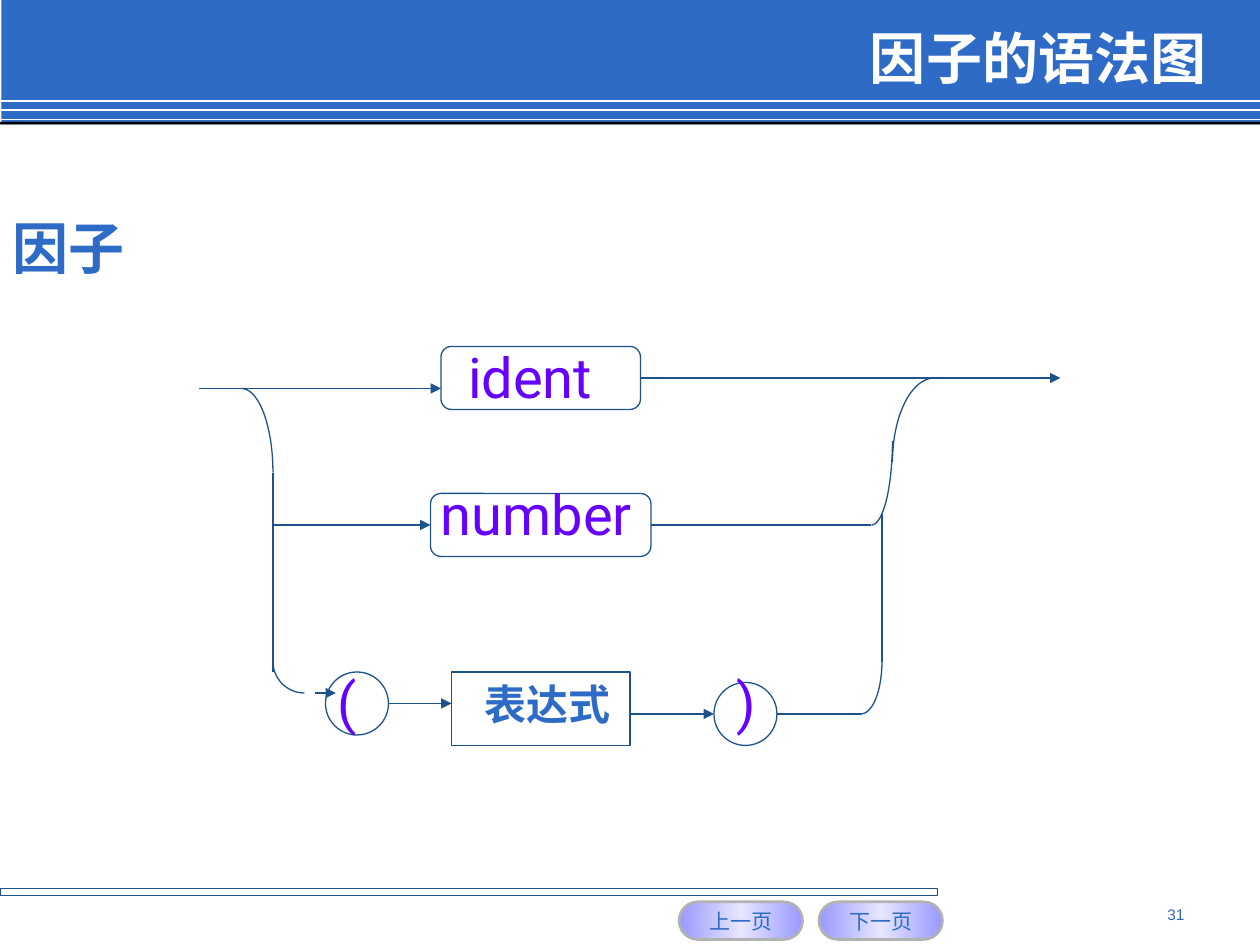
import copy
import math

import pptx
import pptx.dml.color
import pptx.enum.shapes
import pptx.enum.text
import pptx.oxml
import pptx.oxml.ns
import pptx.util

Cm = pptx.util.Cm
PRESET = pptx.enum.shapes.MSO_SHAPE
ALIGN = pptx.enum.text.PP_ALIGN
ANCHOR = pptx.enum.text.MSO_ANCHOR
CJK = "Noto Sans CJK SC"
GRID = 2.54 / 12  # the diagram sits on a grid of twelfths of an inch


def colour(hex_string):
    return pptx.dml.color.RGBColor.from_string(hex_string)


def grid(*units):
    return [unit * GRID for unit in units]


def add_element(parent, tag, **attributes):
    child = pptx.oxml.parse_xml(f"<{tag} {pptx.oxml.ns.nsdecls('a')}/>")
    for name, value in attributes.items():
        child.set(name, value)
    parent.append(child)


def write(frame, text, *, size, color, font="Arial", bold=False,
          align=ALIGN.LEFT, anchor=ANCHOR.TOP, wrap=True):
    frame.auto_size = pptx.enum.text.MSO_AUTO_SIZE.NONE
    frame.word_wrap = wrap
    frame.vertical_anchor = anchor
    frame.margin_left = frame.margin_right = Cm(0.25)
    frame.margin_top = frame.margin_bottom = Cm(0.13)
    paragraph = frame.paragraphs[0]
    paragraph.alignment = align
    paragraph.space_before = pptx.util.Pt(0)
    run = paragraph.add_run()
    run.text = text
    run.font.size = pptx.util.Pt(size)
    run.font.bold = bold
    run.font.name = font
    run.font.color.rgb = colour(color)
    add_element(run.font._element, "a:ea", typeface=CJK)
    return paragraph


class SyntaxSlide:
    """Style of the deck and the slide being drawn; lengths are in cm."""
    BLUE = "2D6BC7"
    STROKE = "1D528D"
    TERMINAL = "6600FF"

    def __init__(self, deck):
        self.slide = deck.slides.add_slide(deck.slide_layouts[1])
        self.shapes = self.slide.shapes

    def outline(self, line, color, width):
        line.color.rgb = colour(color)
        line.width = pptx.util.Pt(width)

    def box(self, preset, left, top, width, height, fill=None, line=STROKE, weight=0.75):
        shape = self.shapes.add_shape(preset, Cm(left), Cm(top), Cm(width), Cm(height))
        shape.shadow.inherit = False
        if fill:
            shape.fill.solid()
            shape.fill.fore_color.rgb = colour(fill)
        else:
            shape.fill.background()
        if line:
            self.outline(shape.line, line, weight)
        else:
            shape.line.fill.background()
        return shape

    def line(self, x1, y1, x2, y2, color=STROKE, weight=0.75, arrow=False):
        connector = self.shapes.add_connector(
            pptx.enum.shapes.MSO_CONNECTOR.STRAIGHT, Cm(x1), Cm(y1), Cm(x2), Cm(y2))
        self.outline(connector.line, color, weight)
        if arrow:
            add_element(connector.line._get_or_add_ln(), "a:tailEnd", type="triangle")
        add_element(connector._element.spPr, "a:effectLst")

    def bend(self, x1, y1, x2, y2, steps=24):
        """Quarter ellipse that leaves point 1 level and meets point 2 upright."""
        angles = [math.pi / 2 * step / steps for step in range(steps + 1)]
        points = [(Cm(x1 + (x2 - x1) * math.sin(a)), Cm(y2 + (y1 - y2) * math.cos(a)))
                  for a in angles]
        builder = self.shapes.build_freeform(*points[0])
        builder.add_line_segments(points[1:], close=False)
        curve = builder.convert_to_shape()
        curve.shadow.inherit = False
        curve.fill.background()
        self.outline(curve.line, self.STROKE, 0.75)

    def label(self, text, left, top, width, height, **text_format):
        area = self.shapes.add_textbox(Cm(left), Cm(top), Cm(width), Cm(height))
        write(area.text_frame, text, **text_format)

    def button(self, text, left):
        pill = self.box(PRESET.ROUNDED_RECTANGLE, left, 18.18, 2.49, 0.76,
                        line="B2B2B2", weight=1.5)
        pill.adjustments[0] = 0.5
        pill.fill.gradient()
        pill.fill.gradient_angle = 0
        stops = pill.fill.gradient_stops
        for stop, place, shade in zip(stops, (0, 0.5), ("9999FF", "E6E6FF")):
            stop.position = place
            stop.color.rgb = colour(shade)
        stop_list = pill._element.spPr.find(".//" + pptx.oxml.ns.qn("a:gsLst"))
        last = copy.deepcopy(stop_list[0])
        last.set("pos", "100000")
        stop_list.append(last)
        write(pill.text_frame, text, size=12, color=self.BLUE,
              align=ALIGN.CENTER, anchor=ANCHOR.MIDDLE, wrap=False)

    def placeholder(self, index, text, left, top, width, height, **text_format):
        holder = self.slide.placeholders[index]
        holder.left, holder.top = Cm(left), Cm(top)
        holder.width, holder.height = Cm(width), Cm(height)
        paragraph = write(holder.text_frame, text, size=32, font=CJK, bold=True, **text_format)
        properties = paragraph._p.get_or_add_pPr()
        properties.set("marL", "0")
        properties.set("indent", "0")
        add_element(properties, "a:buNone")
        self.shapes._spTree.append(holder._element)  # in front of the header band


def main():
    deck = pptx.Presentation()
    deck.slide_width, deck.slide_height = Cm(25.4), Cm(19.05)
    page = SyntaxSlide(deck)

    # Header band and footer
    page.box(PRESET.RECTANGLE, 0.03, 0, 25.37, 2.51, fill=page.BLUE, line=None)
    for y in (2.03, 2.22, 2.41):
        page.line(0, y, 25.4, y, color="FFFFFF", weight=1)
    page.box(PRESET.RECTANGLE, 0, 2.46, 25.4, 0.05, fill="000000", line=None)
    page.box(PRESET.RECTANGLE, 0, 17.91, 18.9, 0.15)
    page.button("上一页", 13.69)
    page.button("下一页", 16.51)
    page.label("31", 18.21, 18.11, 5.92, 0.69, size=8.8, color=page.BLUE, align=ALIGN.RIGHT)

    # Title and name of the rule
    page.placeholder(0, "因子的语法图", 6.99, 0.61, 17.58, 1.09, color="FFFFFF",
                     align=ALIGN.RIGHT, anchor=ANCHOR.MIDDLE)
    page.placeholder(1, "因子", 0, 4.17, 25.4, 13.64, color=page.BLUE)

    # Symbols of the syntax diagram
    for preset, *place in (
            (PRESET.ROUNDED_RECTANGLE, 42, 33, 19, 6),
            (PRESET.ROUNDED_RECTANGLE, 41, 47, 21, 6),
            (PRESET.OVAL, 31, 64, 6, 6),
            (PRESET.RECTANGLE, 43, 64, 17, 7),
            (PRESET.OVAL, 68, 65, 6, 6)):
        page.box(preset, *grid(*place))

    for terminal, *place in (
            ("ident", 43.4, 32, 15.2, 7.7),
            ("number", 40.8, 45.1, 22.4, 7.7),
            ("(", 31, 63, 5, 7.7),
            (")", 69, 63, 6, 7.7)):
        page.label(terminal, *grid(*place), size=32, color=page.TERMINAL,
                   font="Roboto", wrap=False)
    page.label("表达式", *grid(45, 64, 14.4, 11.9), size=24, color=page.BLUE,
               font=CJK, bold=True, wrap=False)

    # Paths between the symbols
    for arrow in ((19, 37, 42, 37), (61, 36, 101, 36), (26, 50, 41, 50),
                  (30, 66, 32, 66), (37, 67, 43, 67), (60, 68, 68, 68)):
        page.line(*grid(*arrow), arrow=True)
    for track in ((26, 45, 26, 64), (62, 50, 83, 50), (74, 68, 82, 68),
                  (84, 55, 84, 63), (84, 55, 84, 49)):
        page.line(*grid(*track))
    for turn in ((23, 37, 26, 45), (29, 66, 26, 63), (82, 68, 84, 63),
                 (83, 50, 85, 42), (89, 36, 85, 44)):
        page.bend(*grid(*turn))

    deck.save("out.pptx")


if __name__ == "__main__":
    main()
